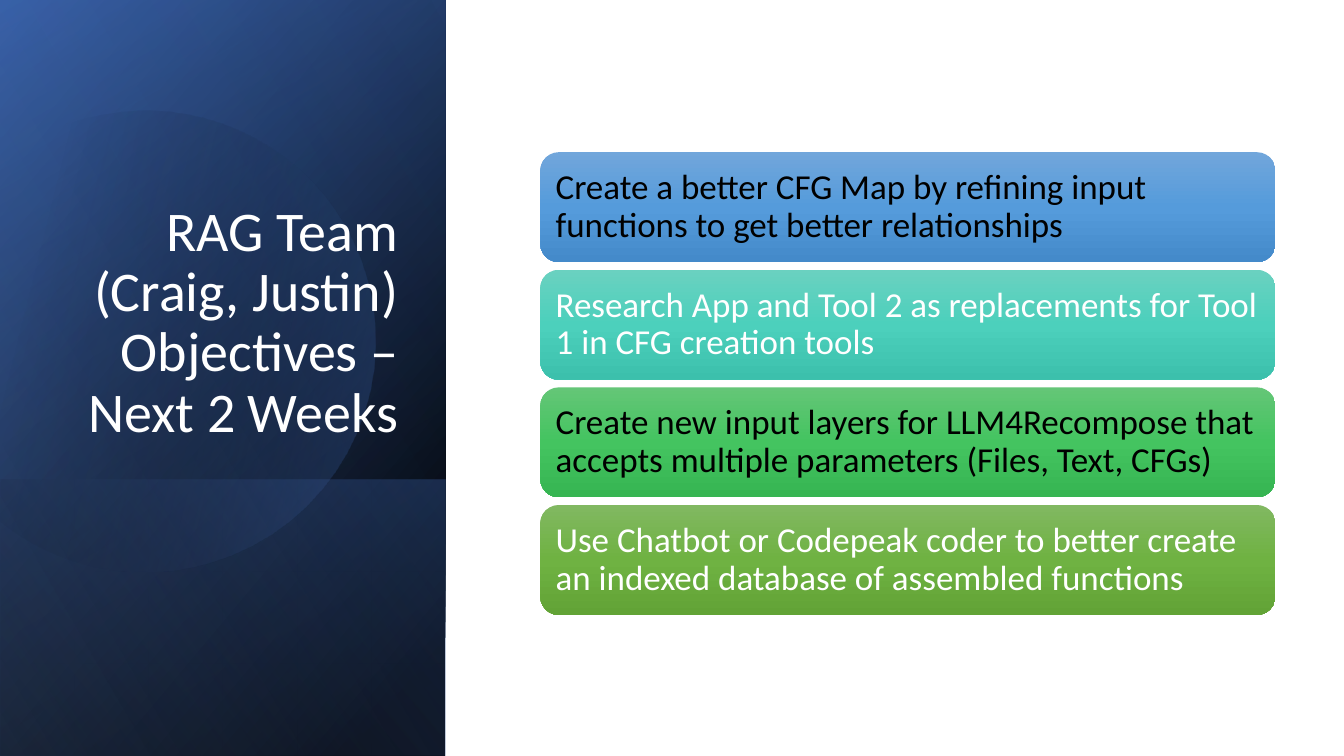
from math import cos, radians, sin
from lxml import etree
from pptx import Presentation, util as u
from pptx.dml.color import RGBColor
from pptx.enum import shapes, text
from pptx.oxml import ns

Pt = u.Pt

THEME = {
    "font": "Calibri",
    "title_size": 40,
    "item_size": 25,
    "white": "FFFFFF",
    "black": "000000",
    "panel_base": [(8, "000000", 100), (100, "2F5597", 100)],
    "panel_glow": [(0, "000000", 0), (99, "4472C4", 46)],
    "panel_foot": [(2, "4472C4", 29), (100, "000000", 30)],
    "circle": [(29, "000000", 0), (100, "4472C4", 43)],
    "panel_sheen": [(0, "000000", 0), (99, "8FAADC", 11)],
    "blue": ["71A6DB", "559BDB", "448ACA"],
    "teal": ["6AD1C0", "4CD0BC", "3CC0AC"],
    "green": ["64C677", "44C460", "36B552"],
    "olive": ["81B861", "6FB242", "62A336"],
}


def paint(shape, stops, angle):
    shape.shadow.inherit = False
    shape.line.fill.background()
    shape.fill.gradient()
    grad = shape._element.spPr.find(ns.qn("a:gradFill"))
    grad.set("rotWithShape", "1")
    for child in list(grad):
        grad.remove(child)
    stop_list = etree.SubElement(grad, ns.qn("a:gsLst"))
    for position, colour, opacity in stops:
        stop = etree.SubElement(stop_list, ns.qn("a:gs"), pos=str(position * 1000))
        tint = etree.SubElement(stop, ns.qn("a:srgbClr"), val=colour)
        if opacity < 100:
            etree.SubElement(tint, ns.qn("a:alpha"), val=str(opacity * 1000))
    etree.SubElement(grad, ns.qn("a:lin"), ang=str(angle * 60000), scaled="0")


def write(box, words, size, colour, frame_format, align):
    for name, value in frame_format.items():
        setattr(box.text_frame, name, value)
    para = box.text_frame.paragraphs[0]
    para.alignment = align
    para.line_spacing = 0.9
    span = para.add_run()
    span.text = words
    for name, value in {"name": THEME["font"], "size": Pt(size)}.items():
        setattr(span.font, name, value)
    span.font.color.rgb = RGBColor.from_string(THEME[colour])


deck = Presentation()
deck.slide_width, deck.slide_height = Pt(960), Pt(540)
page = deck.slides.add_slide(deck.slide_layouts[6])

panel_box = (-110.9, 110.9, 540, 318.2)
foot_box = (60.5, 282.2, 197.3, 318.2)
panels = [
    (panel_box, "panel_base", 50),
    (panel_box, "panel_glow", 30),
    (foot_box, "panel_foot", 130),
    None,
    (panel_box, "panel_sheen", 120),
]

circle_start = (107.3, 79.2)
circle_curves = [
    [(177.1, 80.6), (241.2, 127.4), (261.4, 198)],
    [(286.6, 285.8), (236.2, 376.6), (149, 401.8)],
    [(94.3, 417.6), (38.2, 403.9), (-2.2, 370.1)],
    [(-10.8, 362.2)],
    [(-10.8, 126)],
    [(0, 115.9)],
    [(16.6, 102.2), (36, 92.2), (57.6, 85.7)],
    [(74.2, 81.4), (90.7, 79.2), circle_start],
]
circle_middle = (114.1, 240.8)
circle_turn = 343.9
steps = 16

outline = [circle_start]
for curve in circle_curves:
    if len(curve) == 1:
        outline += curve
        continue
    corners = [outline[-1], *curve]
    for step in range(1, steps + 1):
        t = step / steps
        weights = ((1 - t) ** 3, 3 * t * (1 - t) ** 2, 3 * t * t * (1 - t), t ** 3)
        outline.append(tuple(
            sum(weight * corner[axis] for weight, corner in zip(weights, corners))
            for axis in (0, 1)
        ))

back = radians(360 - circle_turn)
level_outline = []
for x, y in outline:
    dx, dy = x - circle_middle[0], y - circle_middle[1]
    level_outline.append((
        Pt(circle_middle[0] + dx * cos(back) - dy * sin(back)),
        Pt(circle_middle[1] + dx * sin(back) + dy * cos(back)),
    ))

for panel in panels:
    if panel is None:
        builder = page.shapes.build_freeform(*level_outline[0])
        builder.add_line_segments(level_outline[1:], close=True)
        circle = builder.convert_to_shape()
        circle.rotation = circle_turn
        paint(circle, THEME["circle"], 30)
        continue
    place, stops, angle = panel
    shade = page.shapes.add_shape(shapes.MSO_SHAPE.RECTANGLE, *map(Pt, place))
    shade.rotation = 90
    shade._element.spPr.xfrm.set("flipH", "1")
    paint(shade, THEME[stops], angle)

title = page.shapes.add_textbox(Pt(46.1), Pt(132.5), Pt(245.5), Pt(188.6))
title_format = {"word_wrap": True, "vertical_anchor": text.MSO_ANCHOR.BOTTOM}
write(title, "RAG Team (Craig, Justin) Objectives – Next 2 Weeks",
      THEME["title_size"], "white", title_format, text.PP_ALIGN.RIGHT)

objectives = [
    ("Create a better CFG Map by refining input functions to get better relationships",
     "blue", "black"),
    ("Research App and Tool 2 as replacements for Tool 1 in CFG creation tools",
     "teal", "white"),
    ("Create new input layers for LLM4Recompose that accepts multiple parameters (Files, Text, CFGs)",
     "green", "black"),
    ("Use Chatbot or Codepeak coder to better create an indexed database of assembled functions",
     "olive", "white"),
]
item_format = {"word_wrap": True, "vertical_anchor": text.MSO_ANCHOR.MIDDLE}
for side in ("left", "top", "right", "bottom"):
    item_format[f"margin_{side}"] = Pt(7.2)

item_top, item_pitch = 108.7, 84
for row, (words, fill, colour) in enumerate(objectives):
    item = page.shapes.add_shape(
        shapes.MSO_SHAPE.ROUNDED_RECTANGLE,
        Pt(386), Pt(item_top + row * item_pitch), Pt(525), Pt(78.5))
    paint(item, [(at, tint, 100) for at, tint in zip((0, 50, 100), THEME[fill])], 90)
    write(item, words, THEME["item_size"], colour, item_format, text.PP_ALIGN.LEFT)

deck.save("out.pptx")
